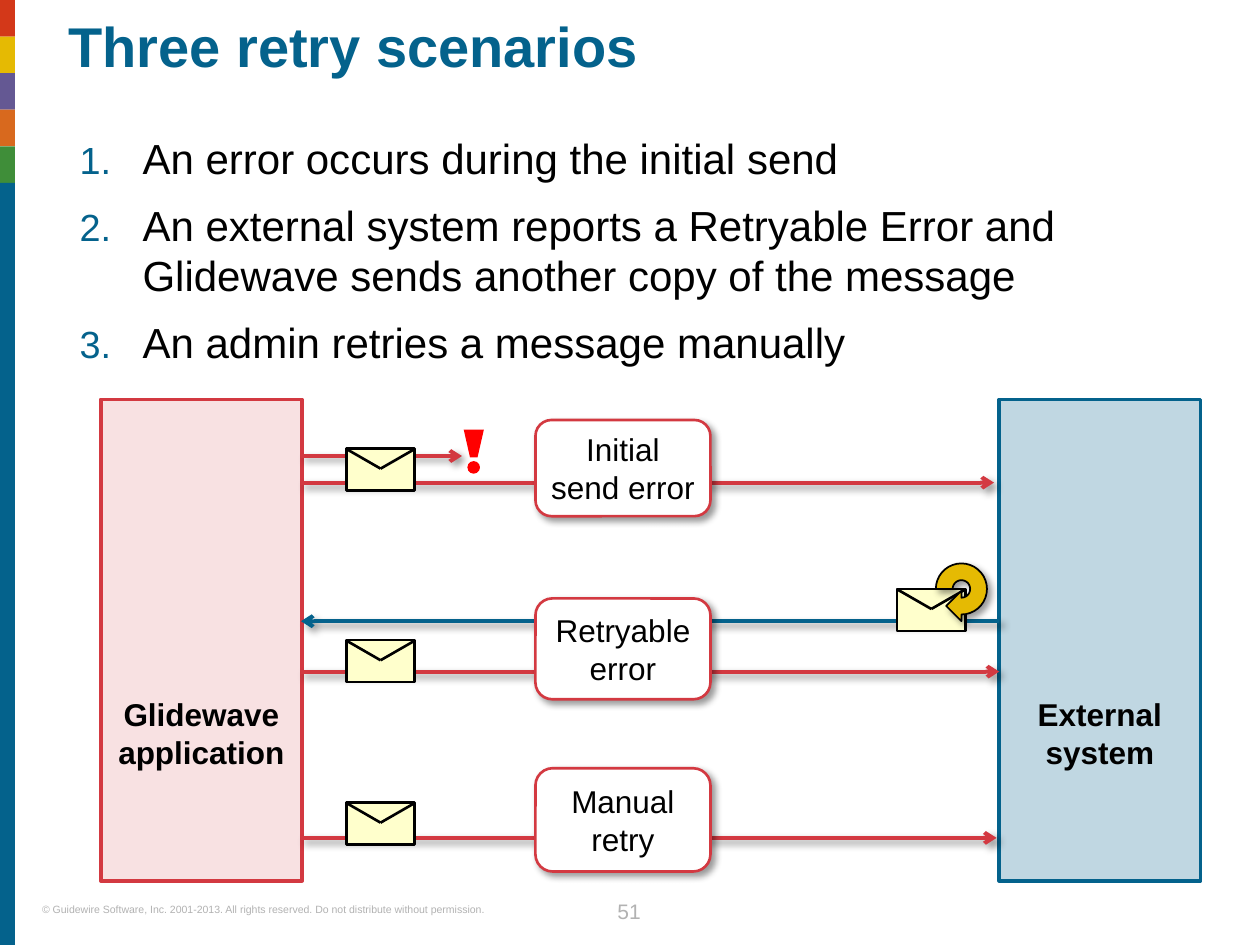
from math import cos, radians, sin

from lxml import etree
from pptx import Presentation
from pptx.dml.color import RGBColor
from pptx.enum.shapes import MSO_CONNECTOR, MSO_SHAPE
from pptx.enum.text import MSO_ANCHOR, PP_ALIGN
from pptx.oxml.ns import qn
from pptx.util import Pt

RECT, ROUND, OVAL = MSO_SHAPE.RECTANGLE, MSO_SHAPE.ROUNDED_RECTANGLE, MSO_SHAPE.OVAL
STRAIGHT = MSO_CONNECTOR.STRAIGHT
LEFT, CENTER = PP_ALIGN.LEFT, PP_ALIGN.CENTER
TOP, MIDDLE = MSO_ANCHOR.TOP, MSO_ANCHOR.MIDDLE

BLUE = RGBColor(0x04, 0x62, 0x8C)
GREEN = RGBColor(0x3F, 0x8E, 0x39)
ORANGE = RGBColor(0xD8, 0x69, 0x1E)
PURPLE = RGBColor(0x64, 0x58, 0x93)
GOLD = RGBColor(0xE5, 0xBA, 0x03)
BRICK = RGBColor(0xD3, 0x38, 0x19)
CRIMSON = RGBColor(0xD3, 0x39, 0x41)
PINK = RGBColor(0xE5, 0x88, 0x8D)
RED = RGBColor(0xFF, 0, 0)
CREAM = RGBColor(0xFF, 0xFF, 0xCC)
GRAY = RGBColor(0xB2, 0xB2, 0xB2)
WHITE = RGBColor(0xFF, 0xFF, 0xFF)
BLACK = RGBColor(0, 0, 0)


def finish(shape, color, width, soft=False):
    """Set the outline, then drop the theme shadow or cast a soft one."""
    if color is None:
        shape.line.fill.background()
    else:
        shape.line.color.rgb = color
        shape.line.width = Pt(width)
    effect = etree.SubElement(shape._element.spPr, qn("a:effectLst"))
    if soft:
        cast = etree.SubElement(effect, qn("a:outerShdw"), blurRad=str(Pt(4)),
                                dist=str(Pt(3)), dir="2700000", rotWithShape="0")
        tone = etree.SubElement(cast, qn("a:srgbClr"), val="000000")
        etree.SubElement(tone, qn("a:alpha"), val="40000")


def write(shape, text, size, color=BLACK, bold=False, align=CENTER, anchor=TOP, wrap=True):
    frame = shape.text_frame
    frame.margin_left = frame.margin_right = frame.margin_top = frame.margin_bottom = 0
    frame.word_wrap = wrap
    frame.vertical_anchor = anchor
    frame.text = text
    for par in frame.paragraphs:
        par.alignment = align
        par.font.name = "Arial"
        par.font.size = Pt(size)
        par.font.bold = bold
        par.font.color.rgb = color


prs = Presentation()
prs.slide_width, prs.slide_height = Pt(720), Pt(540)
slide = prs.slides.add_slide(prs.slide_layouts[5])
shapes = slide.shapes

# Title
title = shapes.title
title.left, title.top, title.width, title.height = Pt(39), Pt(11), Pt(655), Pt(58)
write(title, "Three retry scenarios", 32, BLUE, bold=True, align=LEFT)
title.text_frame.paragraphs[0].line_spacing = 0.9

# Colour strip on the left edge
STEP = 20.9
for i, color in enumerate([BRICK, GOLD, PURPLE, ORANGE, GREEN, BLUE]):
    high = 540 - i * STEP if color == BLUE else STEP
    band = shapes.add_shape(RECT, 0, Pt(i * STEP), Pt(8.6), Pt(high))
    band.fill.solid()
    band.fill.fore_color.rgb = color
    finish(band, None, 0)

# Footer
rights = shapes.add_textbox(Pt(24), Pt(516), Pt(289), Pt(7))
write(rights, "© Guidewire Software, Inc. 2001-2013. All rights reserved. "
      "Do not distribute without permission.", 6, GRAY, align=LEFT)
number = shapes.add_textbox(Pt(339), Pt(510), Pt(41), Pt(18))
write(number, "51", 12, GRAY)
number.text_frame.paragraphs[0].line_spacing = Pt(18)

# Numbered list
body = shapes.add_textbox(Pt(41), Pt(75.5), Pt(648), Pt(140))
write(body, "An error occurs during the initial send\n"
      "An external system reports a Retryable Error and "
      "Glidewave sends another copy of the message\n"
      "An admin retries a message manually", 24, align=LEFT)
for i, par in enumerate(body.text_frame.paragraphs):
    if i:
        par.space_before = Pt(9.6)
    props = par._p.get_or_add_pPr()
    props.set("marL", str(Pt(40.5)))
    props.set("indent", str(Pt(-36)))
    tint = etree.Element(qn("a:buClr"))
    etree.SubElement(tint, qn("a:srgbClr"), val=str(BLUE))
    marks = [tint, etree.Element(qn("a:buSzPct"), val="90000"),
             etree.Element(qn("a:buAutoNum"), type="arabicPeriod")]
    for mark in marks:
        props.find(qn("a:defRPr")).addprevious(mark)

# The two systems
for left, fill, edge, label in [(57.6, PINK, CRIMSON, "Glidewave application"),
                                (571, BLUE, BLUE, "External\vsystem")]:
    panel = shapes.add_shape(RECT, Pt(left), Pt(228.3), Pt(115), Pt(275))
    panel.fill.solid()
    panel.fill.fore_color.rgb = fill
    tone = panel._element.spPr.find(qn("a:solidFill"))[0]
    etree.SubElement(tone, qn("a:alpha"), val="25000")
    finish(panel, edge, 2.25)
    name = shapes.add_textbox(Pt(left - 6.5), Pt(397.4), Pt(128), Pt(43))
    write(name, label, 18, bold=True)

# Message arrows: start x, end x, y, colour
for start, end, y, color in [(172, 264, 260.6, CRIMSON), (172, 571, 383.8, CRIMSON),
                             (571, 172, 355, BLUE), (172, 569.5, 478.8, CRIMSON),
                             (172, 568, 275.8, CRIMSON)]:
    wire = shapes.add_connector(STRAIGHT, Pt(start), Pt(y), Pt(end), Pt(y))
    finish(wire, color, 2.25, soft=True)
    etree.SubElement(wire.line._get_or_add_ln(), qn("a:tailEnd"), type="arrow")

# Exclamation mark
pen = shapes.build_freeform(Pt(265), Pt(245.5))
pen.add_line_segments([(Pt(268.6), Pt(261.4)), (Pt(272.9), Pt(261.4)), (Pt(276.5), Pt(245.5))])
for part in [pen.convert_to_shape(),
             shapes.add_shape(OVAL, Pt(267.1), Pt(263.5), Pt(7.2), Pt(7.2))]:
    part.fill.solid()
    part.fill.fore_color.rgb = RED
    finish(part, None, 0)

# Scenario labels
for top, high, label in [(240, 55, "Initial\vsend error"),
                         (342, 57.6, "Retryable\verror"),
                         (439, 59, "Manual\vretry")]:
    box = shapes.add_shape(ROUND, Pt(306), Pt(top), Pt(100), Pt(high))
    box.fill.solid()
    box.fill.fore_color.rgb = WHITE
    finish(box, CRIMSON, 1.5, soft=True)
    write(box, label, 18, anchor=MIDDLE, wrap=False)

# Envelopes
WIDE, TALL = 39, 24
for left, top in [(198, 256.3), (198, 365.8), (198, 458.6), (512.7, 336.5)]:
    mail = shapes.add_shape(RECT, Pt(left), Pt(top), Pt(WIDE), Pt(TALL))
    mail.fill.solid()
    mail.fill.fore_color.rgb = CREAM
    finish(mail, BLACK, 1.5)
    for side in (left, left + WIDE):
        flap = shapes.add_connector(STRAIGHT, Pt(left + WIDE / 2), Pt(top + 11.5),
                                    Pt(side), Pt(top + 0.3))
        finish(flap, BLACK, 1.5)

# Circular retry arrow
MID_X, MID_Y = 549.4, 336.6
sweep = [radians(a) for a in range(180, 451, 10)]
outer = [(MID_X + 14.6 * cos(a), MID_Y + 14.6 * sin(a)) for a in sweep]
inner = [(MID_X + 5 * cos(a), MID_Y + 5 * sin(a)) for a in reversed(sweep)]
tip = [(MID_X, 355), (540.7, 346.3), (MID_X, 337.7)]
ring = [(Pt(x), Pt(y)) for x, y in outer + tip + inner]
pen = shapes.build_freeform(*ring[0])
pen.add_line_segments(ring[1:])
retry = pen.convert_to_shape()
retry.fill.solid()
retry.fill.fore_color.rgb = GOLD
finish(retry, BLACK, 1, soft=True)

prs.save("out.pptx")
